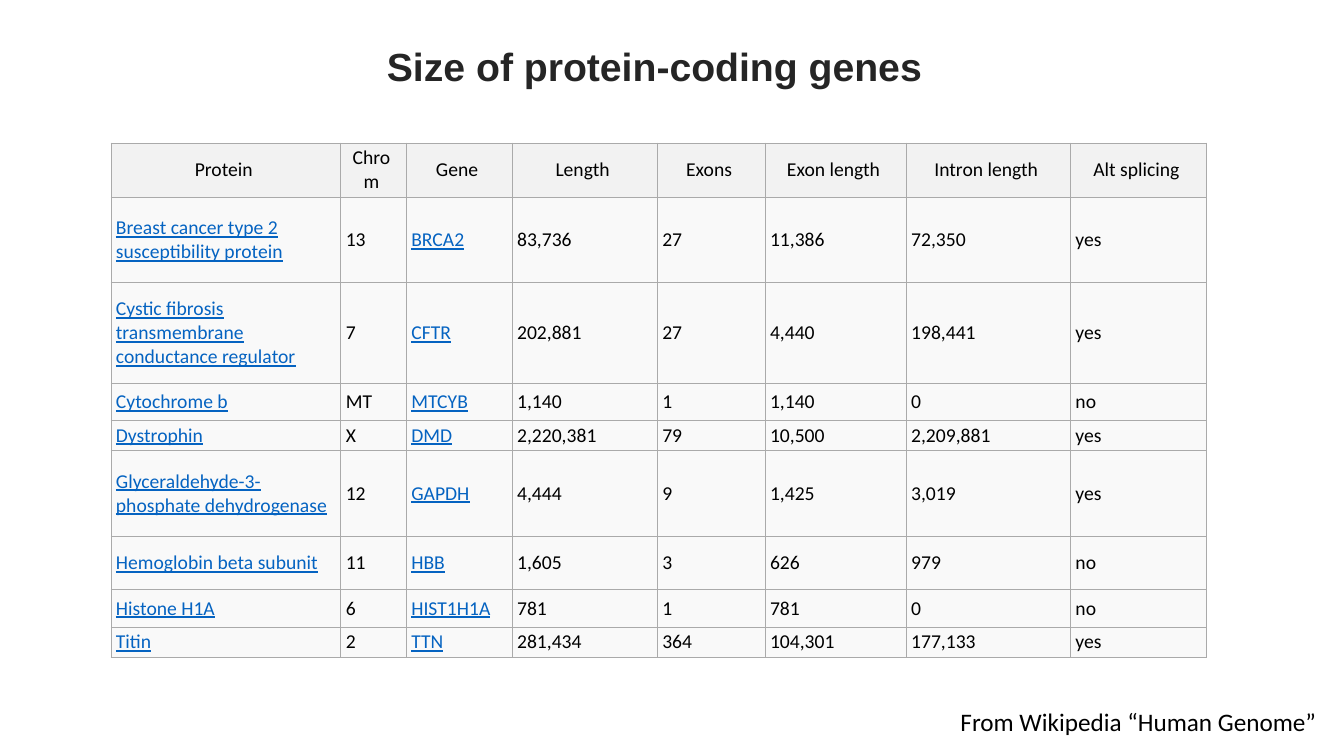
from dataclasses import dataclass

from lxml import etree
from pptx import Presentation
from pptx.dml.color import RGBColor
from pptx.enum.text import MSO_ANCHOR, MSO_AUTO_SIZE, PP_ALIGN
from pptx.oxml.ns import qn
from pptx.util import Pt

MIDDLE = MSO_ANCHOR.MIDDLE
FIT = MSO_AUTO_SIZE.SHAPE_TO_FIT_TEXT
LEFT, CENTER = PP_ALIGN.LEFT, PP_ALIGN.CENTER

COLORS = {
    "text": "000000",
    "title": "252525",
    "link": "0563C1",
    "head": "F2F2F2",
    "body": "F9F9F9",
    "rule": "AAAAAA",
}
RULE = Pt(0.6)
LINKED = (0, 2)  # the protein and gene columns
WIDTHS = (164.2, 46.8, 75.6, 103.7, 77, 100.8, 117.4, 97.2)
HEIGHTS = (26.6, 61.2, 72, 26.6, 15.1, 61.2, 38.2, 26.6, 15.1)
GENES = (
    ("Protein", "Chrom", "Gene", "Length", "Exons", "Exon length", "Intron length", "Alt splicing"),
    ("Breast cancer type 2 susceptibility protein", "13", "BRCA2", "83,736", "27", "11,386", "72,350", "yes"),
    ("Cystic fibrosis transmembrane conductance regulator", "7", "CFTR", "202,881", "27", "4,440", "198,441", "yes"),
    ("Cytochrome b", "MT", "MTCYB", "1,140", "1", "1,140", "0", "no"),
    ("Dystrophin", "X", "DMD", "2,220,381", "79", "10,500", "2,209,881", "yes"),
    ("Glyceraldehyde-3-phosphate dehydrogenase", "12", "GAPDH", "4,444", "9", "1,425", "3,019", "yes"),
    ("Hemoglobin beta subunit", "11", "HBB", "1,605", "3", "626", "979", "no"),
    ("Histone H1A", "6", "HIST1H1A", "781", "1", "781", "0", "no"),
    ("Titin", "2", "TTN", "281,434", "364", "104,301", "177,133", "yes"),
)


@dataclass(frozen=True)
class Label:
    text: str
    left: float
    top: float
    width: float
    height: float
    color: str
    font: dict


LABELS = (
    Label("From Wikipedia “Human Genome”", 679, 501.1, 271.4, 29,
          "text", {"name": "Calibri", "size": Pt(18)}),
    Label("Size of protein-coding genes", 269.3, 26.6, 401.8, 41,
          "title", {"name": "Arial", "size": Pt(28), "bold": True}),
)


def apply(target, values: dict) -> None:
    for name, value in values.items():
        setattr(target, name, value)


def write(frame, text: str, color: str, font: dict, align=LEFT) -> None:
    para = frame.paragraphs[0]
    para.alignment = align
    run = para.add_run()
    run.text = text
    apply(run.font, font)
    run.font.color.rgb = RGBColor.from_string(COLORS[color])


def rule(cell) -> None:
    """Draw a thin line on all four sides of the cell."""
    props = cell._tc.get_or_add_tcPr()
    for side in ("a:lnL", "a:lnR", "a:lnT", "a:lnB"):
        line = etree.SubElement(props, qn(side), w=str(int(RULE)))
        fill = etree.SubElement(line, qn("a:solidFill"))
        etree.SubElement(fill, qn("a:srgbClr"), val=COLORS["rule"])


def style(cell, text: str, head: bool, link: bool) -> None:
    apply(cell, {
        "vertical_anchor": MIDDLE,
        "margin_left": Pt(3.6),
        "margin_right": Pt(6.5 if head else 3.6),
        "margin_top": Pt(2.2),
        "margin_bottom": Pt(2.2),
    })
    rule(cell)
    cell.fill.solid()
    cell.fill.fore_color.rgb = RGBColor.from_string(COLORS["head" if head else "body"])
    font = {"name": "Calibri", "size": Pt(14), "underline": link}
    write(cell.text_frame, text, "link" if link else "text", font, CENTER if head else LEFT)


def add_genes(slide) -> None:
    table = slide.shapes.add_table(
        len(GENES), len(WIDTHS), Pt(79.2), Pt(102.2), Pt(sum(WIDTHS)), Pt(sum(HEIGHTS))
    ).table
    apply(table, {"first_row": False, "horz_banding": False})
    for col, width in zip(table.columns, WIDTHS):
        col.width = Pt(width)
    for r, (row, height) in enumerate(zip(table.rows, HEIGHTS)):
        row.height = Pt(height)
        for c, text in enumerate(GENES[r]):
            style(table.cell(r, c), text, r == 0, r > 0 and c in LINKED)


def add_label(slide, label: Label) -> None:
    box = slide.shapes.add_textbox(
        Pt(label.left), Pt(label.top), Pt(label.width), Pt(label.height)
    )
    apply(box.text_frame, {"word_wrap": False, "auto_size": FIT})
    write(box.text_frame, label.text, label.color, label.font)


def main() -> None:
    deck = Presentation()
    apply(deck, {"slide_width": Pt(960), "slide_height": Pt(540)})
    slide = deck.slides.add_slide(deck.slide_layouts[6])
    add_genes(slide)
    for label in LABELS:
        add_label(slide, label)
    deck.save("out.pptx")


if __name__ == "__main__":
    main()
